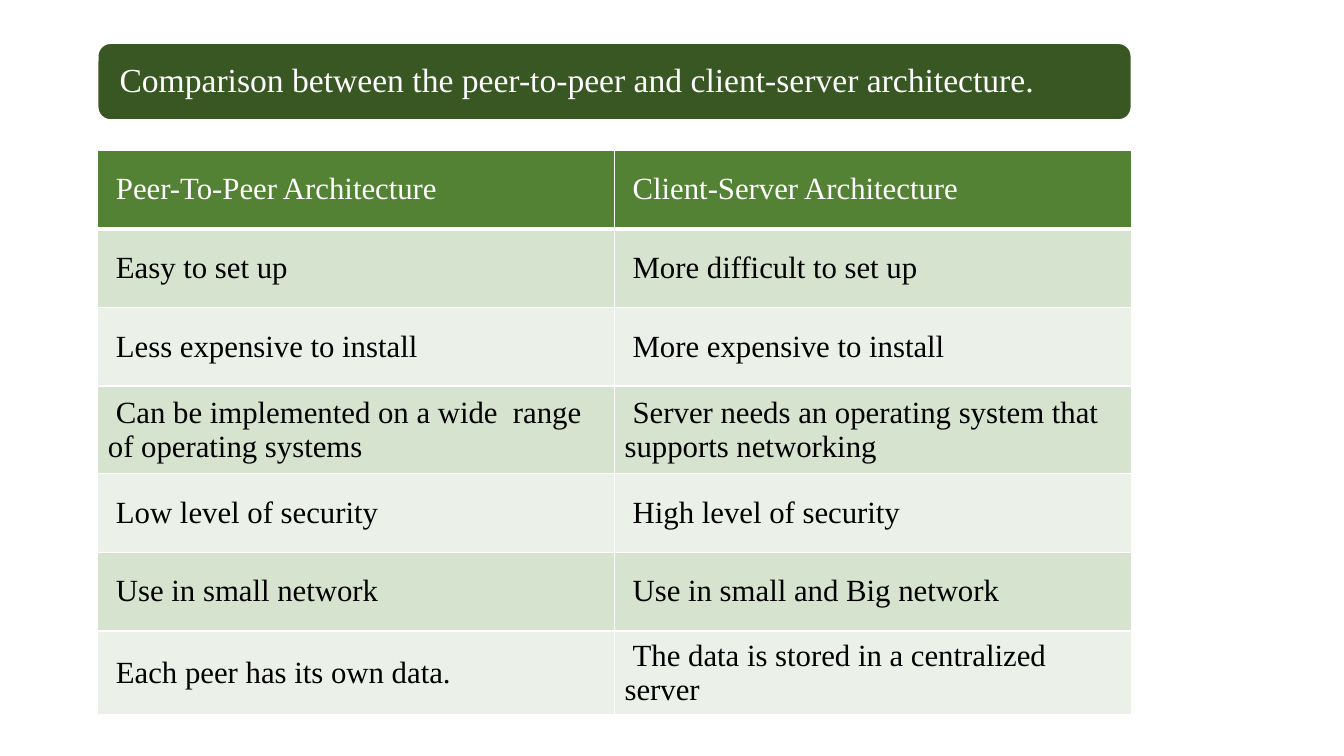
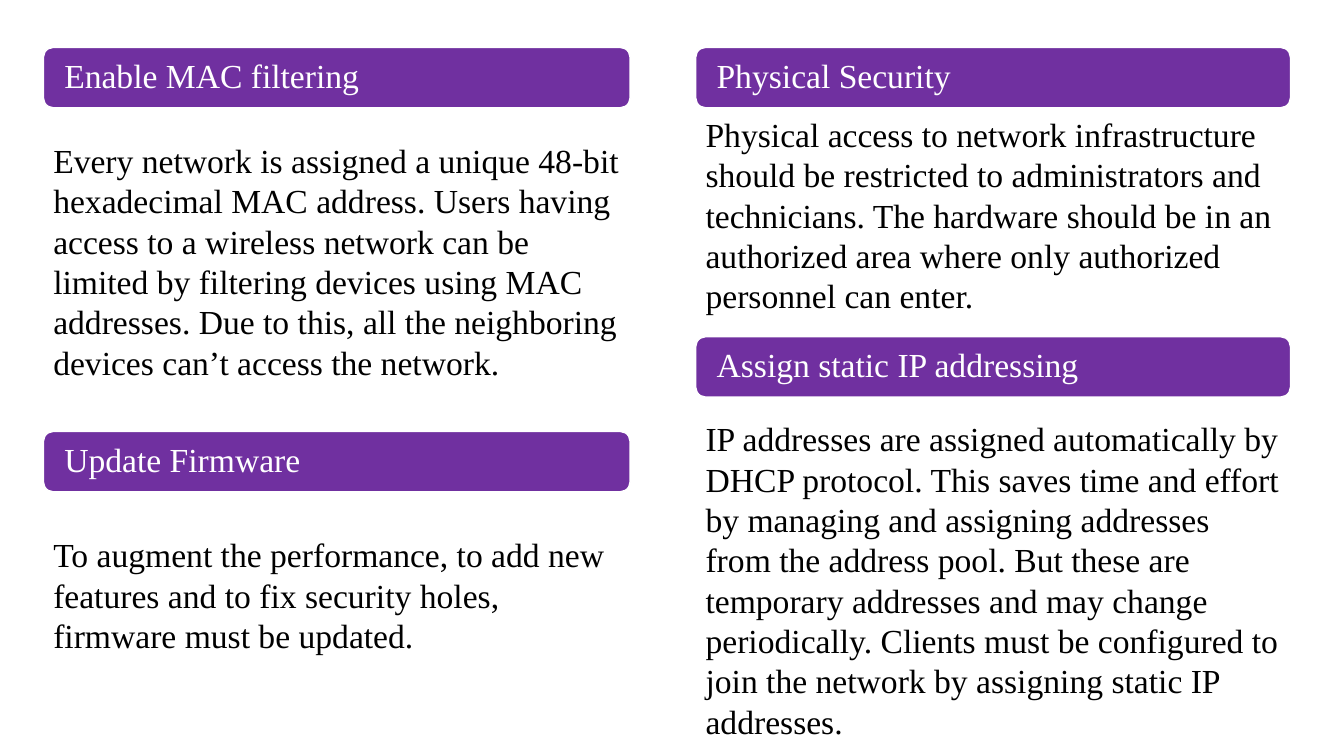
from dataclasses import dataclass

from lxml import etree
from pptx import Presentation
from pptx.dml.color import RGBColor
from pptx.enum.shapes import MSO_SHAPE
from pptx.enum.text import MSO_ANCHOR, PP_ALIGN
from pptx.oxml.ns import qn
from pptx.util import Inches, Pt

ROUNDED = MSO_SHAPE.ROUNDED_RECTANGLE
MIDDLE, TOP = MSO_ANCHOR.MIDDLE, MSO_ANCHOR.TOP
LEFT = PP_ALIGN.LEFT


@dataclass(frozen=True)
class Theme:
    font: str = "Times New Roman"
    body_size: int = 24
    table_size: int = 22
    white: str = "FFFFFF"
    black: str = "000000"
    dark_green: str = "385723"
    green: str = "548235"
    bands: tuple = ("D5E3CF", "EBF1E9")
    purple: str = "7030A0"
    first_line_indent: float = 0.08
    banner_inset: float = 0.1
    thin_rule: int = 1
    header_rule: int = 3


THEME = Theme()

COMPARISON_TITLE = "Comparison between the peer-to-peer and client-server architecture."
COMPARISON = [
    ("Peer-To-Peer Architecture", "Client-Server Architecture"),
    ("Easy to set up", "More difficult to set up"),
    ("Less expensive to install", "More expensive to install"),
    ("Can be implemented on a wide  range of operating systems",
     "Server needs an operating system that supports networking"),
    ("Low level of security", "High level of security"),
    ("Use in small network", "Use in small and Big network"),
    ("Each peer has its own data.", "The data is stored in a centralized server"),
]
COMPARISON_LEFT, COMPARISON_WIDTH = 0.97, 10.25
ROW_HEIGHTS = [0.78, 0.78, 0.78, 0.87, 0.78, 0.78, 0.83]

BANNER_HEIGHT = 0.6
# Each column: left, width, then topics as (banner top, heading, body top, body height, body)
SECURITY_COLUMNS = [
    (0.43, 5.82, [
        (0.47, "Enable MAC filtering", 1.34, 2.52,
         "Every network is assigned a unique 48-bit hexadecimal MAC address. "
         "Users having access to a wireless network can be limited by filtering "
         "devices using MAC addresses. Due to this, all the neighboring devices "
         "can’t access the network."),
        (4.28, "Update Firmware", 5.25, 1.31,
         "To augment the performance, to add new features and to fix security "
         "holes, firmware must be updated."),
    ]),
    (6.9, 5.9, [
        (0.47, "Physical Security", 1.08, 2.12,
         "Physical access to network infrastructure should be restricted to "
         "administrators and technicians. The hardware should be in an "
         "authorized area where only authorized personnel can enter."),
        (3.34, "Assign static IP addressing", 4.1, 2.93,
         "IP addresses are assigned automatically by DHCP protocol. This saves "
         "time and effort by managing and assigning addresses from the address "
         "pool. But these are temporary addresses and may change periodically. "
         "Clients must be configured to join the network by assigning static IP "
         "addresses."),
    ]),
]


def rgb(color):
    return RGBColor.from_string(color)


def write(frame, text, size=THEME.body_size, color=THEME.black, indent=0, spacing=1.0):
    frame.word_wrap = True
    paragraph = frame.paragraphs[0]
    paragraph.alignment = LEFT
    paragraph.line_spacing = spacing
    paragraph._p.get_or_add_pPr().set("indent", str(Inches(indent)))
    run = paragraph.add_run()
    run.text = text
    run.font.name = THEME.font
    run.font.size = Pt(size)
    run.font.bold = False
    run.font.color.rgb = rgb(color)


def add_banner(slide, text, left, top, width, height, color):
    banner = slide.shapes.add_shape(
        ROUNDED, Inches(left), Inches(top), Inches(width), Inches(height))
    banner.shadow.inherit = False
    banner.fill.solid()
    banner.fill.fore_color.rgb = rgb(color)
    banner.line.color.rgb = rgb(THEME.white)
    banner.line.width = Pt(THEME.thin_rule)
    frame = banner.text_frame
    frame.vertical_anchor = MIDDLE
    frame.margin_left = frame.margin_right = Inches(THEME.banner_inset)
    frame.margin_top = frame.margin_bottom = Inches(THEME.banner_inset)
    write(frame, text, color=THEME.white, indent=THEME.first_line_indent, spacing=0.9)


def add_body(slide, text, left, top, width, height):
    body = slide.shapes.add_textbox(
        Inches(left), Inches(top), Inches(width), Inches(height))
    body.text_frame.vertical_anchor = TOP
    write(body.text_frame, text)


def set_borders(cell, **widths):
    """Draw white borders; call before the cell's fill, which follows them in the XML."""
    properties = cell._tc.get_or_add_tcPr()
    for side in "LRTB":
        border = etree.SubElement(
            properties, qn(f"a:ln{side}"), w=str(Pt(widths.get(side, THEME.thin_rule))))
        fill = etree.SubElement(border, qn("a:solidFill"))
        etree.SubElement(fill, qn("a:srgbClr"), val=THEME.white)


def add_comparison_table(slide, left, top, width):
    table = slide.shapes.add_table(
        len(COMPARISON), len(COMPARISON[0]), Inches(left), Inches(top),
        Inches(width), Inches(sum(ROW_HEIGHTS))).table
    table.horz_banding = False
    for row, height in zip(table.rows, ROW_HEIGHTS):
        row.height = Inches(height)
    for row_index, entries in enumerate(COMPARISON):
        is_header = row_index == 0
        fill = THEME.green if is_header else THEME.bands[(row_index - 1) % 2]
        rules = {0: {"B": THEME.header_rule}, 1: {"T": THEME.header_rule}}
        for column_index, entry in enumerate(entries):
            cell = table.cell(row_index, column_index)
            set_borders(cell, **rules.get(row_index, {}))
            cell.fill.solid()
            cell.fill.fore_color.rgb = rgb(fill)
            cell.vertical_anchor = MIDDLE
            write(cell.text_frame, entry, size=THEME.table_size,
                  color=THEME.white if is_header else THEME.black,
                  indent=THEME.first_line_indent)


def build_comparison(slide):
    add_banner(slide, COMPARISON_TITLE, COMPARISON_LEFT, 0.43, COMPARISON_WIDTH, 0.76,
               THEME.dark_green)
    add_comparison_table(slide, COMPARISON_LEFT, 1.49, COMPARISON_WIDTH)


def build_security(slide):
    for left, width, topics in SECURITY_COLUMNS:
        for banner_top, heading, body_top, body_height, body in topics:
            add_banner(slide, heading, left, banner_top, width, BANNER_HEIGHT, THEME.purple)
            add_body(slide, body, left, body_top, width, body_height)


def main():
    deck = Presentation()
    deck.slide_width, deck.slide_height = Inches(13.33), Inches(7.5)
    blank = deck.slide_layouts[6]
    for build in (build_comparison, build_security):
        build(deck.slides.add_slide(blank))
    deck.save("out.pptx")


if __name__ == "__main__":
    main()
